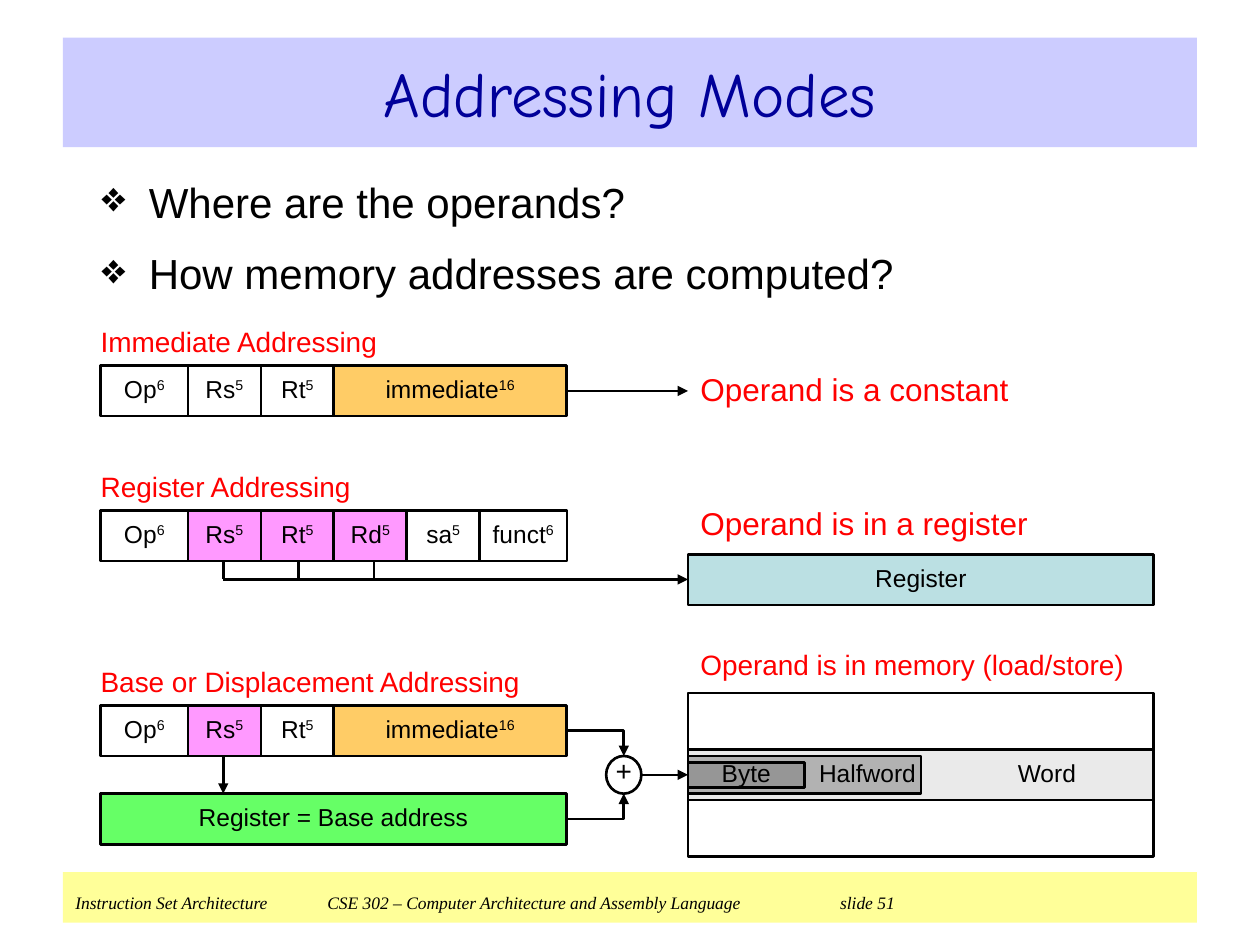
from typing import NamedTuple

from lxml.etree import SubElement
from pptx import Presentation
from pptx.dml.color import RGBColor
from pptx.enum.shapes import MSO_CONNECTOR as Conn, MSO_SHAPE as Shp
from pptx.enum.text import MSO_ANCHOR as Anchor, PP_ALIGN as Align
from pptx.oxml.ns import qn
from pptx.util import Cm, Pt

BLACK, WHITE, RED, PINK, ORANGE = "000000", "FFFFFF", "FF0000", "FF99FF", "FFCC66"
LEFT, RIGHT, WIDTH, ROW_H = 2.03, 13.87, 9.39, 1.02
OP_W, REG_W, IMM_W = 1.76, 1.47, 4.69
RS_X = 4.5
SUM_X, SUM_Y, SUM_W, SUM_H = 12.22, 15.24, 0.71, 0.76


class Field(NamedTuple):
    name: str
    bits: str
    width: float
    fill: str = WHITE


class Format(NamedTuple):
    title: str
    top: float
    fields: list[Field]


OP = Field("Op", "6", OP_W)
RS, RT = Field("Rs", "5", REG_W), Field("Rt", "5", REG_W)
IMM = Field("immediate", "16", IMM_W, ORANGE)
IMMEDIATE = Format("Immediate Addressing", 7.37, [OP, RS, RT, IMM])
REGISTER = Format("Register Addressing", 10.29, [
    OP, RS._replace(fill=PINK), RT._replace(fill=PINK),
    Field("Rd", "5", REG_W, PINK), Field("sa", "5", REG_W),
    Field("funct", "6", OP_W)])
BASE = Format("Base or Displacement Addressing", 14.22,
              [OP, RS._replace(fill=PINK), RT, IMM])

prs = Presentation()
prs.slide_width, prs.slide_height = Cm(25.4), Cm(19.05)
s = prs.slides.add_slide(prs.slide_layouts[6])


def rgb(color: str) -> RGBColor:
    return RGBColor.from_string(color)


def add_run(p, text: str, size: float, color: str = BLACK, font: str = "Arial",
            italic: bool = False, superscript: bool = False) -> None:
    r = p.add_run()
    r.text = text
    r.font.size, r.font.name, r.font.italic = Pt(size), font, italic
    r.font.color.rgb = rgb(color)
    if superscript:
        r.font._element.set("baseline", "30000")


def set_frame(sp, anchor=Anchor.MIDDLE, inset_x: float = 0, inset_y: float = 0):
    tf = sp.text_frame
    tf.word_wrap = True
    tf.vertical_anchor = anchor
    tf.margin_left = tf.margin_right = Cm(inset_x)
    tf.margin_top = tf.margin_bottom = Cm(inset_y)
    return tf


def add_box(x: float, y: float, w: float, h: float, fill: str | None = None,
            line: str | None = BLACK, kind=Shp.RECTANGLE):
    sp = s.shapes.add_shape(kind, Cm(x), Cm(y), Cm(w), Cm(h))
    sp.shadow.inherit = False
    if fill:
        sp.fill.solid()
        sp.fill.fore_color.rgb = rgb(fill)
    else:
        sp.fill.background()
    if line:
        sp.line.color.rgb = rgb(line)
        sp.line.width = Pt(1.5)
    else:
        sp.line.fill.background()
    return sp


def add_cell(text: str, x: float, y: float, w: float, h: float = ROW_H,
             fill: str = WHITE, bits: str = "", indent: float = 0,
             size: float = 14, line: str | None = BLACK) -> None:
    p = set_frame(add_box(x, y, w, h, fill, line)).paragraphs[0]
    p.alignment, p.line_spacing = Align.CENTER, 0.85
    if indent:
        p._p.get_or_add_pPr().set("marL", str(Cm(indent)))
    add_run(p, text, size)
    if bits:
        add_run(p, bits, size, superscript=True)


def add_label(text: str, x: float, y: float, size: float = 16,
              anchor=Anchor.MIDDLE, inset_x: float = 0.25) -> None:
    sp = s.shapes.add_textbox(Cm(x), Cm(y), Cm(WIDTH), Cm(0.81))
    add_run(set_frame(sp, anchor, inset_x).paragraphs[0], text, size, RED)


def add_line(x1: float, y1: float, x2: float, y2: float,
             arrow: bool = True, bent: bool = False) -> None:
    kind = Conn.ELBOW if bent else Conn.STRAIGHT
    cx = s.shapes.add_connector(kind, Cm(x1), Cm(y1), Cm(x2), Cm(y2))
    cx.line.color.rgb = rgb(BLACK)
    cx.line.width = Pt(1.5)
    sp_pr = cx._element.spPr
    if bent:
        sp_pr.find(qn("a:prstGeom")).set("prst", "bentConnector2")
    if arrow:
        SubElement(cx.line._get_or_add_ln(), qn("a:tailEnd"), type="triangle")
    SubElement(sp_pr, qn("a:effectLst"))


def add_format(fmt: Format) -> None:
    x = LEFT
    for f in fmt.fields:
        add_cell(f.name, x, fmt.top, f.width, fill=f.fill, bits=f.bits)
        x += f.width
    add_label(fmt.title, LEFT, fmt.top - 0.89, inset_x=0)


def add_footer() -> None:
    tf = set_frame(add_box(1.27, 17.58, 22.86, 1.02, "FFFF99", None),
                   Anchor.TOP, 0.25, 0.13)
    p = tf.paragraphs[0]
    p.alignment = Align.LEFT
    tabs = SubElement(p._p.get_or_add_pPr(), qn("a:tabLst"))
    for pos in (5.08, 15.24):
        SubElement(tabs, qn("a:tab"), pos=str(Cm(pos)), algn="l")
    style = dict(size=10, font="Times New Roman", italic=True)
    add_run(p, "Instruction Set Architecture\t"
            "CSE 302 – Computer Architecture and Assembly Language \t", **style)
    add_run(p, " ", 18)
    add_run(p, "slide 51", **style)


def add_title() -> None:
    p = set_frame(add_box(1.27, 0.76, 22.86, 2.21, "CCCCFF", None),
                  inset_x=0.25, inset_y=0.13).paragraphs[0]
    p.alignment = Align.CENTER
    add_run(p, "Addressing Modes", 36, "000099", "Comic Neue")


def add_questions() -> None:
    sp = s.shapes.add_textbox(Cm(1.8), Cm(3.43), Cm(21.31), Cm(2.92))
    tf = set_frame(sp, Anchor.TOP, 0.25, 0.13)
    questions = ["Where are the operands?", "How memory addresses are computed?"]
    for i, text in enumerate(questions):
        p = tf.add_paragraph() if i else tf.paragraphs[0]
        p_pr = p._p.get_or_add_pPr()
        p_pr.set("marL", str(Cm(0.95)))
        p_pr.set("indent", str(-Cm(0.95)))
        SubElement(p_pr, qn("a:buChar"), char="❖")
        if i:
            p.space_before = Pt(12)
        add_run(p, text, 24)


def add_immediate_mode() -> None:
    add_format(IMMEDIATE)
    add_label("Operand is a constant", RIGHT, 7.44, 18)
    y = IMMEDIATE.top + ROW_H / 2
    add_line(LEFT + WIDTH, y, RIGHT, y)


def add_register_mode() -> None:
    add_format(REGISTER)
    add_cell("Register", RIGHT, 11.18, WIDTH, fill="BBE0E3")
    add_label("Operand is in a register", RIGHT, 10.16, 18, Anchor.TOP)
    bus_y = 11.68
    add_line(RS_X, bus_y, RIGHT, bus_y)
    for i in range(3):
        x = RS_X + i * 1.52
        add_line(x, REGISTER.top + ROW_H, x, bus_y, arrow=False)


def add_base_mode() -> None:
    add_format(BASE)
    base_y, sum_mid, edge = 16, SUM_X + SUM_W / 2, LEFT + WIDTH
    add_cell("Word", RIGHT, 15.11, WIDTH, fill="EAEAEA", indent=5.08)
    add_label("Operand is in memory (load/store)", RIGHT, 13.06, anchor=Anchor.TOP)
    add_cell("Register = Base address", LEFT, base_y, WIDTH, fill="66FF66")
    add_line(RS_X, BASE.top + ROW_H, RS_X, base_y)
    add_cell("+", SUM_X, SUM_Y, SUM_W, 0.69, size=16, line=None)
    add_box(SUM_X, SUM_Y, SUM_W, SUM_H, kind=Shp.OVAL)
    add_line(edge, base_y + ROW_H / 2, sum_mid, SUM_Y + SUM_H, bent=True)
    add_line(edge, BASE.top + ROW_H / 2, sum_mid, SUM_Y, bent=True)
    add_line(SUM_X + SUM_W, SUM_Y + SUM_H / 2, RIGHT, SUM_Y + SUM_H / 2)
    add_box(RIGHT, 13.97, WIDTH, 3.3)
    add_cell("Halfword", RIGHT, 15.24, WIDTH / 2, 0.76, "B2B2B2", indent=2.54)
    add_cell("Byte", RIGHT, 15.37, WIDTH / 4, 0.51, "969696")


add_footer()
add_title()
add_base_mode()
add_immediate_mode()
add_register_mode()
add_questions()
prs.save("out.pptx")
